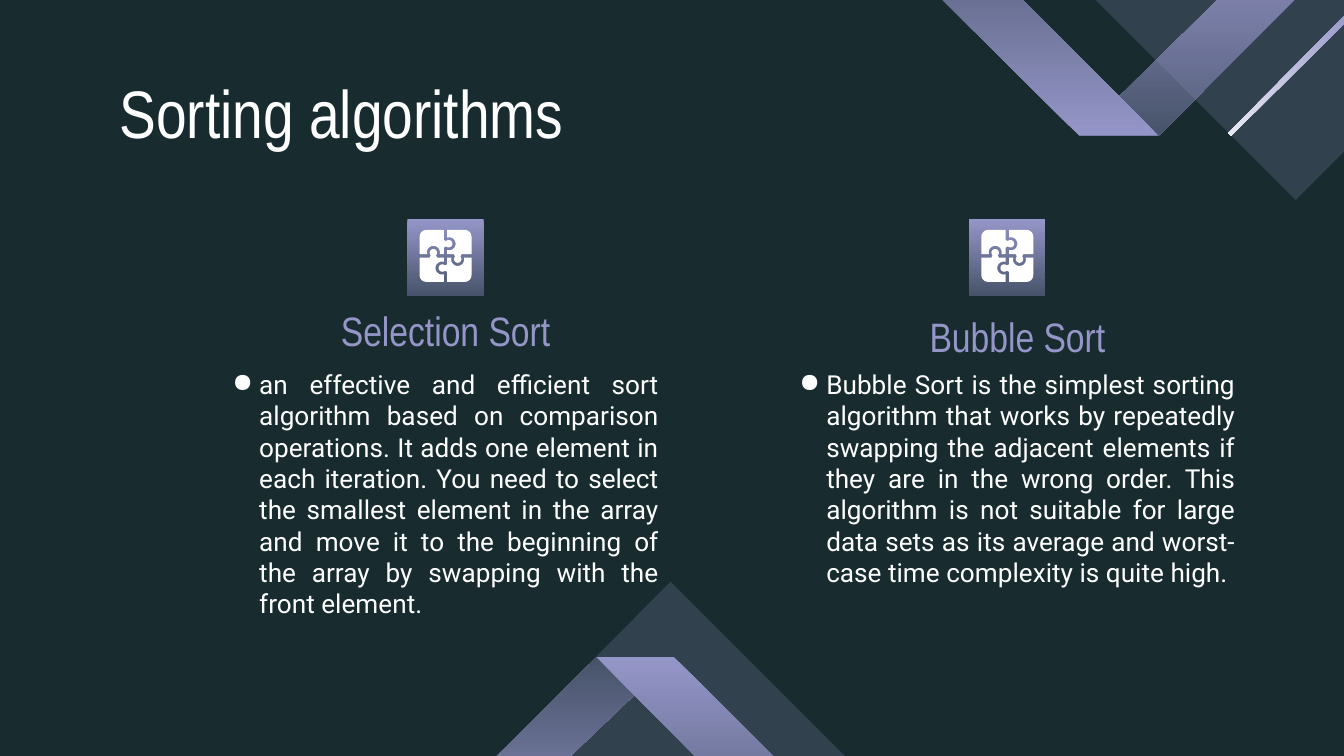
from math import cos, radians, sin

from lxml import etree
from pptx import Presentation
from pptx.dml.color import RGBColor
from pptx.enum import shapes, text
from pptx.oxml.ns import qn
from pptx.util import Pt

DARK = RGBColor(0x18, 0x2C, 0x30)
LILAC = RGBColor(0x95, 0x96, 0xC8)
SLATE = RGBColor(0x47, 0x53, 0x6A)
WHITE = RGBColor(0xFF, 0xFF, 0xFF)
HEAD_FONT, BODY_FONT = "Arial Narrow", "Roboto"
SELECTION = (
    "an effective and efficient sort algorithm based on comparison operations. "
    "It adds one element in each iteration. You need to select the smallest element "
    "in the array and move it to the beginning of the array by swapping with the "
    "front element."
)
BUBBLE = (
    "Bubble Sort is the simplest sorting algorithm that works by repeatedly swapping "
    "the adjacent elements if they are in the wrong order. This algorithm is not "
    "suitable for large data sets as its average and worst-case time complexity is "
    "quite high."
)


def plain(sp):
    sp.shadow.inherit = False
    sp.line.fill.background()
    return sp


def solid(sp, color):
    sp.fill.solid()
    sp.fill.fore_color.rgb = color


def gradient(sp, start, end, clockwise):
    sp.fill.gradient()
    sp.fill.gradient_angle = -clockwise % 360
    for stop, color in zip(sp.fill.gradient_stops, (start, end)):
        stop.color.rgb = color


def polygon(s, x, y, points):
    """Closed outline whose points are relative to (x, y)."""
    pts = [(Pt(x + dx), Pt(y + dy)) for dx, dy in points]
    fb = s.shapes.build_freeform(*pts[0])
    fb.add_line_segments(pts[1:], close=True)
    return plain(fb.convert_to_shape())


def arc(cx, cy, radius, start, end, steps=12):
    angles = [radians(start + (end - start) * i / steps) for i in range(steps + 1)]
    return [(cx + radius * cos(a), cy + radius * sin(a)) for a in angles]


def add_text(s, x, y, w, h, words, font, size, color, align=None):
    tf = s.shapes.add_textbox(Pt(x), Pt(y), Pt(w), Pt(h)).text_frame
    tf.word_wrap = True
    tf.vertical_anchor = text.MSO_ANCHOR.TOP
    tf.margin_left = tf.margin_right = tf.margin_top = tf.margin_bottom = Pt(7.2)
    tf.text = words
    p = tf.paragraphs[0]
    p.alignment = align
    f = p.runs[0].font
    f.name, f.size, f.color.rgb = font, Pt(size), color
    return p


def add_bullet(p, indent):
    pPr = p._p.get_or_add_pPr()
    pPr.set("marL", str(Pt(indent)))
    pPr.set("indent", str(-Pt(indent)))
    clr = etree.SubElement(pPr, qn("a:buClr"))
    etree.SubElement(clr, qn("a:srgbClr"), val=str(WHITE))
    etree.SubElement(pPr, qn("a:buChar"), char="●")


def corner_triangle(s, x, y, side, rotation):
    """Translucent right triangle."""
    sp = plain(s.shapes.add_shape(shapes.MSO_SHAPE.RIGHT_TRIANGLE,
                                  Pt(x), Pt(y), Pt(side), Pt(side)))
    sp.rotation = rotation
    solid(sp, LILAC)
    clr = sp.fill._xPr.find(qn("a:solidFill"))[0]
    etree.SubElement(clr, qn("a:alpha"), val="20000")


def bottom_chevron(s, x, y):
    """Peak at the bottom edge; (x, y) is the upper left corner of its ribbon."""
    corner_triangle(s, x - 43.9, y - 5.8, 167, 135)
    left = polygon(s, x, y, [(41.5, 0), (-79.2, 115.2), (-79.2, 78.5), (0, 0)])
    gradient(left, LILAC, SLATE, 270)
    right = polygon(s, x, y, [(41.5, 0), (166.5, 124.7), (124, 124.7), (0, 0)])
    gradient(right, LILAC, SLATE, 90)


def top_chevron(s, x, y):
    """Valley at the top edge; (x, y) is the lower left corner of its ribbon."""
    right = polygon(s, x, y, [(0, 0), (123.8, -121.7), (123.8, -81.4), (42.5, 0)])
    gradient(right, LILAC, SLATE, 90)
    left = polygon(s, x, y, [(0, 0), (-128.9, -128.2), (-85.7, -128.2), (42.5, 0)])
    gradient(left, LILAC, SLATE, 270)
    stripe = polygon(s, x, y, [(147.6, -65.5), (81.4, 0), (79.9, -1.4), (145.4, -67.7)])
    gradient(stripe, LILAC, WHITE, 135)
    corner_triangle(s, x + 29.5, y - 174.2, 172.8, 315)


def puzzle(s, cx, cy):
    """Four equal pieces, each a quarter turn from the last."""
    gap, edge, corner = 0.9, 13.9, 3.6
    piece = [(gap, -edge)]
    piece += arc(1.9, -6.5, 3.5, -107, 107)             # notch
    piece += [(gap, -gap), (4.5, -gap)]
    piece += arc(6.5, 1.7, 2, 225, -45)                 # tab
    piece += [(8.5, -gap), (edge, -gap)]
    piece += arc(edge - corner, corner - edge, corner, 0, -90)
    for _ in range(4):
        solid(polygon(s, cx, cy, piece), WHITE)
        piece = [(y, -x) for x, y in piece]


def column(s, x, y, w, heading, body, icon_shift=0, heading_dy=38.9):
    """Icon, heading and bullet text centred on one axis."""
    mid, icon, head_w = x + w / 2, 41, 181.4
    tile = plain(s.shapes.add_shape(shapes.MSO_SHAPE.RECTANGLE,
                                    Pt(mid + icon_shift - icon / 2), Pt(y),
                                    Pt(icon), Pt(icon)))
    gradient(tile, LILAC, SLATE, 90)
    puzzle(s, mid + icon_shift, y + icon / 2 - 0.8)
    add_text(s, mid - head_w / 2, y + heading_dy, head_w, 33.1, heading,
             HEAD_FONT, 22, LILAC, text.PP_ALIGN.CENTER)
    p = add_text(s, x, y + 72.7, w, 139, body, BODY_FONT, 14, WHITE,
                 text.PP_ALIGN.JUSTIFY)
    add_bullet(p, 14.4)


def main():
    prs = Presentation()
    prs.slide_width, prs.slide_height = Pt(720), Pt(405)
    s = prs.slides.add_slide(prs.slide_layouts[6])
    solid(s.background, DARK)

    # Decoration
    bottom_chevron(s, 319.7, 352.1)
    top_chevron(s, 578.2, 72.7)

    # Title and the two algorithms
    add_text(s, 56.9, 31, 303.1, 45.4, "Sorting algorithms", HEAD_FONT, 36, WHITE)
    column(s, 117.4, 117.4, 242.6, "Selection Sort", SELECTION)
    column(s, 421.2, 117.4, 247.7, "Bubble Sort", BUBBLE, icon_shift=-5.4, heading_dy=42.5)

    prs.save("out.pptx")


if __name__ == "__main__":
    main()
